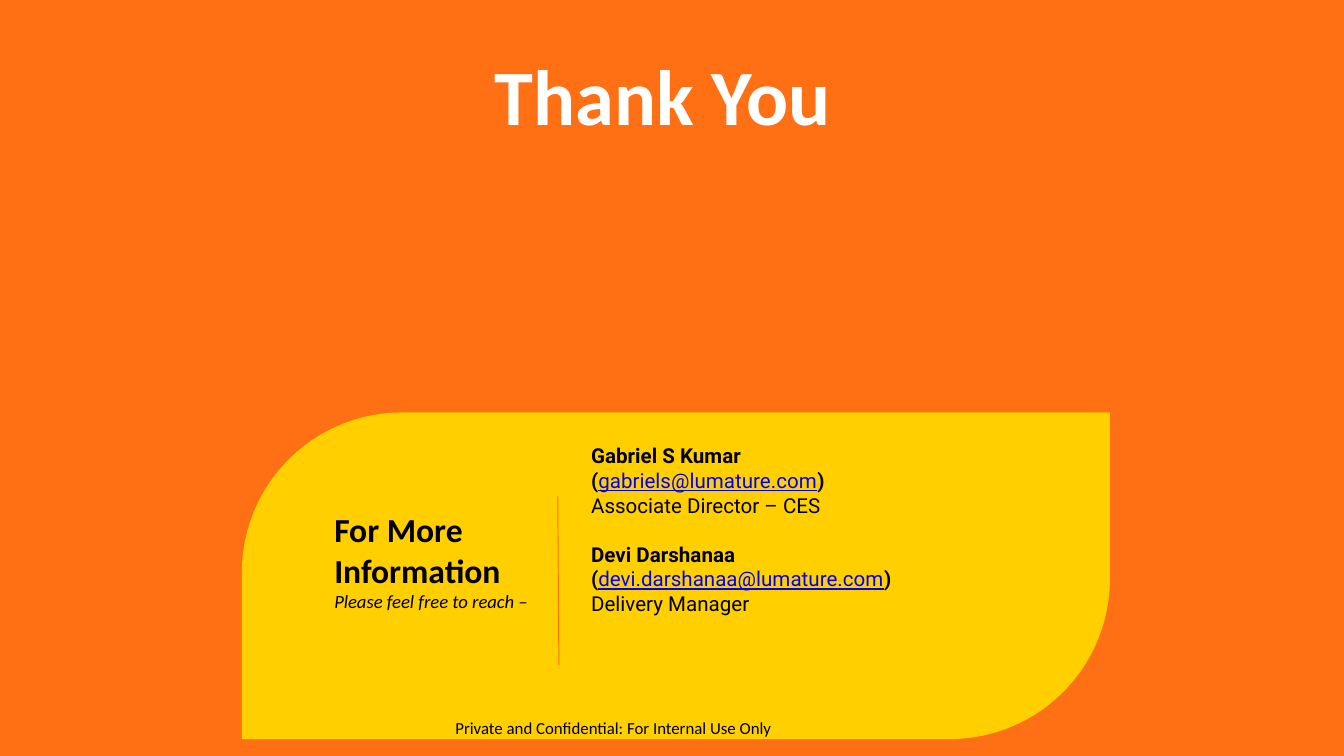
"""Build the closing thank-you slide with contact details."""
from lxml import etree
from pptx import Presentation
from pptx.dml.color import RGBColor
from pptx.enum import shapes, text
from pptx.oxml import ns
from pptx.util import Pt

ORANGE = RGBColor(0xFF, 0x70, 0x14)
YELLOW = RGBColor(0xFF, 0xCF, 0x00)
BLACK = RGBColor(0, 0, 0)
WHITE = RGBColor(0xFF, 0xFF, 0xFF)
LINK_BLUE = RGBColor(0, 0, 0xFF)

CONTACTS = [
    ("Gabriel S Kumar", "gabriels@lumature.com", "Associate Director – CES"),
    ("Devi Darshanaa", "devi.darshanaa@lumature.com", "Delivery Manager"),
]


def add_frame(slide, left, top, width, height):
    frame = slide.shapes.add_textbox(Pt(left), Pt(top), Pt(width), Pt(height)).text_frame
    frame.word_wrap = True
    return frame


def write(frame, parts, size, family="Calibri", color=BLACK, bold=False):
    first = frame.paragraphs[0]
    paragraph = frame.add_paragraph() if first.runs else first
    for part in parts:
        paragraph.add_run().text = part
    font = paragraph.font
    font.size, font.name, font.bold = Pt(size), family, bold
    font.color.rgb = color
    return paragraph


prs = Presentation()
prs.slide_width, prs.slide_height = Pt(720), Pt(405)
slide = prs.slides.add_slide(prs.slide_layouts[5])
slide.background.fill.solid()
slide.background.fill.fore_color.rgb = ORANGE

title = slide.shapes.title
title.left, title.top, title.width, title.height = Pt(201), Pt(21.6), Pt(308), Pt(58.3)
title.text_frame.vertical_anchor = text.MSO_ANCHOR.TOP
thanks = write(title.text_frame, ["Thank You"], 42, color=WHITE, bold=True)
thanks.alignment = text.PP_ALIGN.CENTER

card = slide.shapes.add_shape(
    shapes.MSO_SHAPE.ROUND_2_DIAG_RECTANGLE, Pt(129.6), Pt(221), Pt(465), Pt(175)
)
card.adjustments[0] = 0.49
card.shadow.inherit = False
card.fill.solid()
card.fill.fore_color.rgb = YELLOW
card.line.fill.background()

contact_frame = add_frame(slide, 309.6, 234, 199, 114)
for index, (name, email, role) in enumerate(CONTACTS):
    heading = write(contact_frame, [name], 11, "Roboto", bold=True)
    if index:
        heading.space_before = Pt(13)
    address = write(contact_frame, ["(", email, ")"], 11, "Roboto", bold=True)
    link = address.runs[1].font
    link.bold, link.underline = False, True
    link.color.rgb = LINK_BLUE
    write(contact_frame, [role], 11, "Roboto")

invitation = add_frame(slide, 172, 269.3, 124, 63.4)
write(invitation, ["For More Information"], 18, bold=True)
write(invitation, ["Please feel free to reach –"], 10).font.italic = True

divider = slide.shapes.add_connector(
    shapes.MSO_CONNECTOR.STRAIGHT, Pt(298.8), Pt(265.7), Pt(299.4), Pt(356.4)
)
divider.line.color.rgb = ORANGE
divider.line.width = Pt(0.5)
etree.SubElement(divider._element.spPr, ns.qn("a:effectLst"))

footer = add_frame(slide, 172, 381, 313, 18)
notice = write(footer, ["Private and Confidential: For Internal Use Only"], 9)
notice.alignment = text.PP_ALIGN.CENTER

prs.save("out.pptx")
